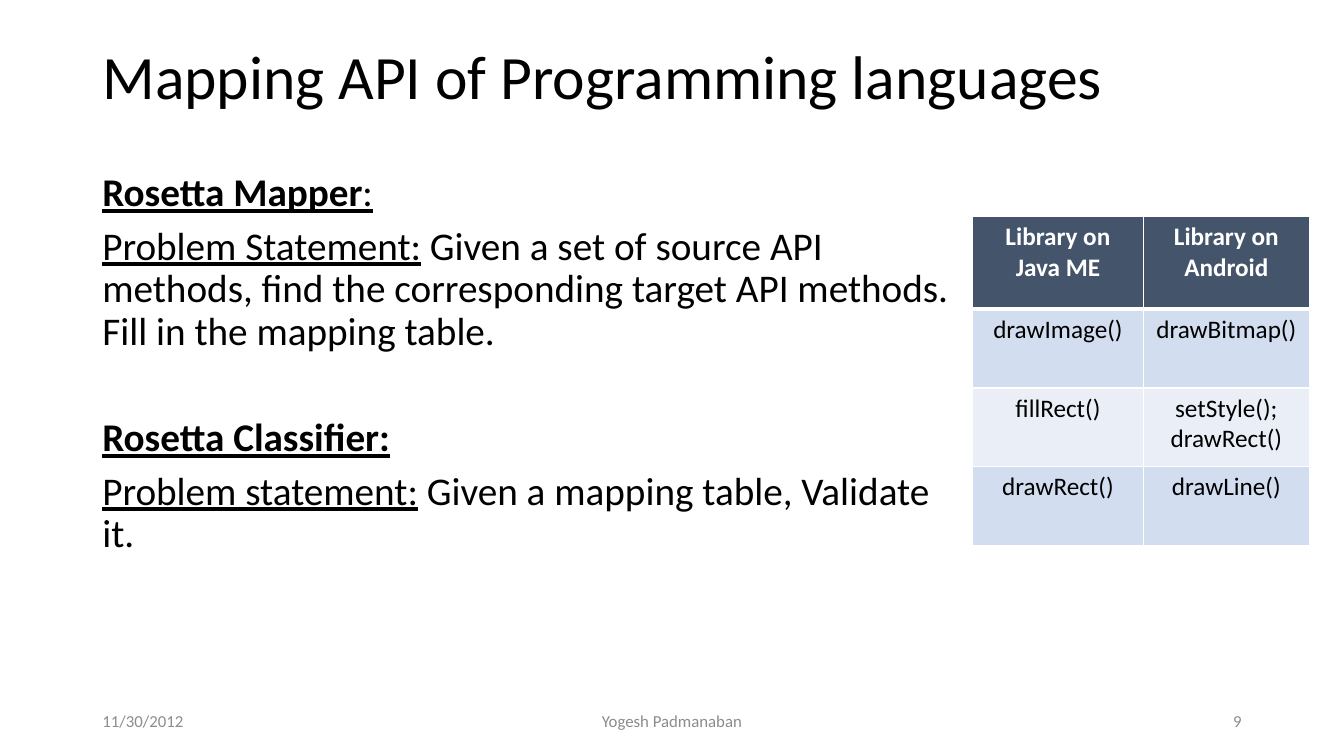
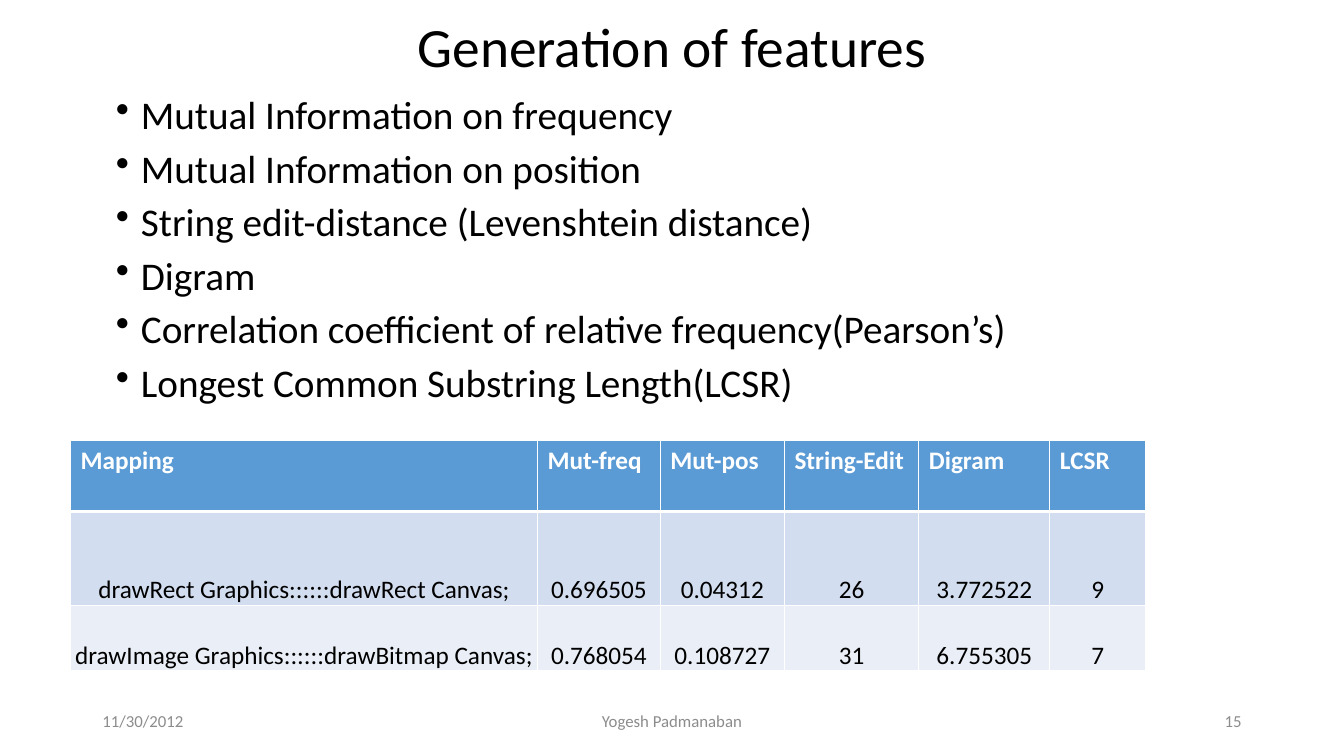
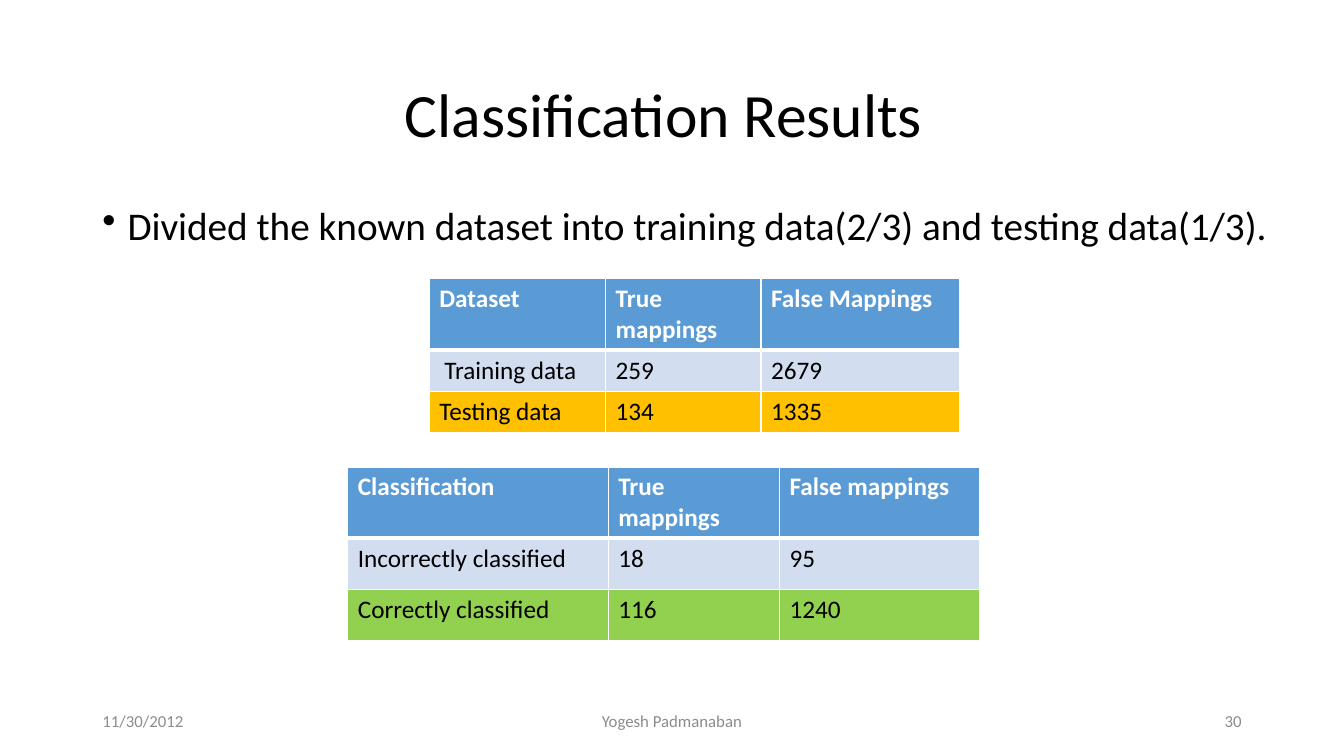
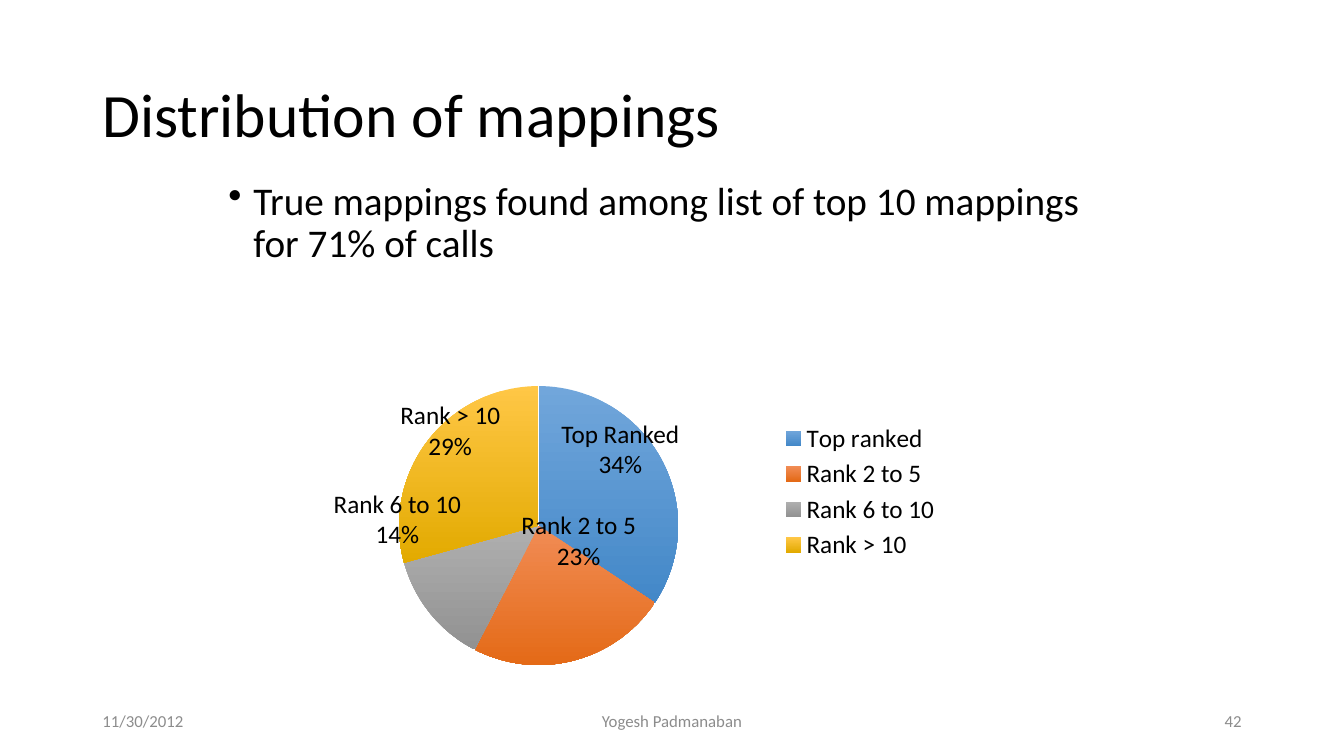
import pptx
import pptx.chart.data
import pptx.dml.color
import pptx.enum.chart
import pptx.enum.text
import pptx.oxml
import pptx.oxml.ns
import pptx.util

RGBColor = pptx.dml.color.RGBColor
Pt = pptx.util.Pt
ALIGN = pptx.enum.text.PP_ALIGN
ANCHOR = pptx.enum.text.MSO_ANCHOR

BLACK = RGBColor(0x00, 0x00, 0x00)
WHITE = RGBColor(0xFF, 0xFF, 0xFF)
GRAY = RGBColor(0x8C, 0x8C, 0x8C)
NAVY = RGBColor(0x44, 0x54, 0x6A)
BLUE = RGBColor(0x5B, 0x9B, 0xD5)
BAND_DARK = RGBColor(0xD2, 0xDE, 0xEF)
BAND_LIGHT = RGBColor(0xEA, 0xEF, 0xF7)
AMBER = RGBColor(0xFF, 0xC0, 0x00)
GREEN = RGBColor(0x92, 0xD0, 0x50)
PIE_GRADIENTS = [
    (RGBColor(0x71, 0xA6, 0xDB), RGBColor(0x43, 0x88, 0xC8)),
    (RGBColor(0xF1, 0x8C, 0x55), RGBColor(0xE4, 0x6A, 0x17)),
    (RGBColor(0xAF, 0xAF, 0xAF), RGBColor(0x92, 0x92, 0x92)),
    (RGBColor(0xFF, 0xC7, 0x46), RGBColor(0xE2, 0xAA, 0x00)),
]
FONT = "Calibri"
NS = pptx.oxml.ns.nsdecls("a")

prs = pptx.Presentation()
prs.slide_width = pptx.util.Inches(13.33)
prs.slide_height = pptx.util.Inches(7.5)
UNIT = prs.slide_width / 160  # square grid: 160 columns by 90 rows


def add_text(s, box, paras, size, color=BLACK, align=ALIGN.LEFT,
             anchor=ANCHOR.TOP, body=False, bullet=False, wrap=True):
    """Box in grid units; each paragraph is a list of (text, bold, underline)."""
    sp = s.shapes.add_textbox(*(int(v * UNIT) for v in box))
    tf = sp.text_frame
    tf.word_wrap = wrap
    tf.vertical_anchor = anchor
    for i, runs in enumerate(paras):
        p = tf.paragraphs[0] if i == 0 else tf.add_paragraph()
        p.alignment = align
        if body:
            p.line_spacing = 0.9
            p.space_before = Pt(8 if i else 0)
        if bullet:
            pPr = p._p.get_or_add_pPr()
            pPr.set("marL", str(int(3 * UNIT)))
            pPr.set("indent", str(int(-3 * UNIT)))
            pPr.append(pptx.oxml.parse_xml(f'<a:buChar {NS} char="•"/>'))
        for text, bold, underline in runs:
            r = p.add_run()
            r.text = text
            r.font.name = FONT
            r.font.size = Pt(size)
            r.font.color.rgb = color
            r.font.bold = bold
            r.font.underline = underline
    return tf


def add_table(s, left, top, cols, rows, texts, fills, centered=False):
    """Position, columns and rows in grid units; one fill per row."""
    shape = s.shapes.add_table(len(rows), len(cols), int(left * UNIT), int(top * UNIT),
                               int(sum(cols) * UNIT), int(sum(rows) * UNIT))
    tbl = shape.table
    for col, width in zip(tbl.columns, cols):
        col.width = int(width * UNIT)
    for i, height in enumerate(rows):
        tbl.rows[i].height = int(height * UNIT)
        for j, text in enumerate(texts[i]):
            cell = tbl.cell(i, j)
            cell.text_frame.text = text
            p = cell.text_frame.paragraphs[0]
            p.alignment = ALIGN.CENTER if centered else ALIGN.LEFT
            font = p.runs[0].font
            font.name = FONT
            font.size = Pt(18)
            font.bold = i == 0
            font.color.rgb = BLACK if i else WHITE
            cell.fill.solid()
            cell.fill.fore_color.rgb = fills[i]
            widths = {"lnL": 1, "lnR": 1, "lnT": 3 if i == 1 else 1, "lnB": 1 if i else 3}
            for k, (side, width) in enumerate(widths.items()):
                cell._tc.get_or_add_tcPr().insert(k, pptx.oxml.parse_xml(
                    f'<a:{side} {NS} w="{Pt(width)}"><a:solidFill>'
                    f'<a:srgbClr val="{WHITE}"/></a:solidFill></a:{side}>'))
    return tbl


# Titles and footers
pages = [
    ("Mapping API of Programming languages", (11, 0.24, 138, 17.4), 44, ALIGN.LEFT, 0, "9"),
    ("Generation of features", (11, 1.4, 138, 8), 39.6, ALIGN.CENTER, 0, "15"),
    ("Classification Results", (11, 4.8, 138, 17.4), 44, ALIGN.LEFT, 36, "30"),
    ("Distribution of mappings", (11, 4.8, 138, 17.4), 44, ALIGN.LEFT, 0, "42"),
]
slides = []
for title, box, size, align, indent, number in pages:
    s = prs.slides.add_slide(prs.slide_layouts[6])
    tf = add_text(s, box, [[(title, False, False)]], size, align=align, anchor=ANCHOR.MIDDLE)
    tf.margin_left += int(indent * UNIT)
    for text, left, width, side in [("11/30/2012", 11, 43, ALIGN.LEFT),
                                    ("Yogesh Padmanaban", 61, 38, ALIGN.CENTER),
                                    (number, 106, 43, ALIGN.RIGHT)]:
        add_text(s, (left, 83.4, width, 4.8), [[(text, False, False)]], 12, GRAY, side,
                 ANCHOR.MIDDLE)
    slides.append(s)
mapping_slide, features_slide, results_slide, ranks_slide = slides

# Mapping API
tf = add_text(mapping_slide, (11, 20, 103.4, 59.5), [
    [("Rosetta Mapper", True, True), (":", False, True)],
    [("Problem Statement:", False, True),
     (" Given a set of source API methods, find the corresponding target API methods. "
      "Fill in the mapping table.", False, False)],
    [("Rosetta Classifier:", True, True)],
    [("Problem statement:", False, True),
     (" Given a mapping table, Validate it.", False, False)],
], 28, body=True)
tf.paragraphs[2].space_before = Pt(46)
add_table(mapping_slide, 115.8, 25.8, [20.3, 19.8], [11, 9.4, 9.4, 9.4], [
    ["Library on Java ME", "Library on Android"],
    ["drawImage()", "drawBitmap()"],
    ["fillRect()", "setStyle(); drawRect()"],
    ["drawRect()", "drawLine()"],
], [NAVY, BAND_DARK, BAND_LIGHT, BAND_DARK], centered=True)

# Features
features = ["Mutual Information on frequency", "Mutual Information on position",
            "String edit-distance (Levenshtein distance)", "Digram",
            "Correlation coefficient of relative frequency(Pearson’s)",
            "Longest Common Substring Length(LCSR)"]
add_text(features_slide, (12.6, 10.8, 138, 62), [[(f, False, False)] for f in features],
         28, body=True, bullet=True)
tbl = add_table(features_slide, 8.4, 52.4, [55.6, 14.6, 14.8, 16, 15.6, 11.4], [8.5, 11.2, 7.8], [
    ["Mapping", "Mut-freq", "Mut-pos", "String-Edit", "Digram", "LCSR"],
    ["drawRect Graphics::::::drawRect Canvas;", "0.696505", "0.04312", "26", "3.772522", "9"],
    ["drawImage Graphics::::::drawBitmap Canvas;", "0.768054", "0.108727", "31", "6.755305", "7"],
], [BLUE, BAND_DARK, BAND_LIGHT])
for cell in list(tbl.iter_cells())[len(tbl.columns):]:
    cell.vertical_anchor = ANCHOR.BOTTOM
    cell.margin_left = cell.margin_right = cell.margin_top = int(0.1 * UNIT)
    cell.margin_bottom = 0
    cell.text_frame.paragraphs[0].alignment = ALIGN.CENTER

# Classification results
add_text(results_slide, (11, 24, 142.6, 57),
         [[("Divided the known dataset into training data(2/3) and testing data(1/3).",
            False, False)]], 28, body=True, bullet=True)
tbl = add_table(results_slide, 51.1, 33.2, [21, 18.5, 23.6], [8.5, 4.9, 4.9], [
    ["Dataset", "True mappings", "False Mappings"],
    ["Training data", "259", "2679"],
    ["Testing data", "134", "1335"],
], [BLUE, BAND_DARK, AMBER])
tbl.cell(1, 0).margin_left += int(0.6 * UNIT)
add_table(results_slide, 41.4, 55.6, [31, 20.4, 23.8], [8.5, 6.1, 6.1], [
    ["Classification", "True mappings", "False mappings"],
    ["Incorrectly classified", "18", "95"],
    ["Correctly classified", "116", "1240"],
], [BLUE, BAND_DARK, GREEN])

# Distribution of mappings
add_text(ranks_slide, (26, 21, 108, 17.6),
         [[("True mappings found among list of top 10 mappings for 71% of calls",
            False, False)]], 28, body=True, bullet=True)
data = pptx.chart.data.CategoryChartData()
data.categories = ["Top ranked", "Rank 2 to 5", "Rank 6 to 10", "Rank > 10"]
data.add_series("Mappings", [34, 23, 13, 29])
chart = ranks_slide.shapes.add_chart(
    pptx.enum.chart.XL_CHART_TYPE.PIE,
    *(int(v * UNIT) for v in (35.9, 36.1, 77.3, 44.9)), data).chart
chart.has_title = False
chart.font.name = FONT
chart.font.size = Pt(18)
chart.font.color.rgb = BLACK
chart.has_legend = True
chart.legend.position = pptx.enum.chart.XL_LEGEND_POSITION.RIGHT
chart.legend.include_in_layout = False
plot = chart.plots[0]
plot.vary_by_categories = True
for i, shades in enumerate(PIE_GRADIENTS):
    fill = plot.series[0].points[i].format.fill
    fill.gradient()
    fill.gradient_angle = 270
    for stop, shade in zip(fill.gradient_stops, shades):
        stop.color.rgb = shade

area = plot._element.getparent()
for layout in area.findall(pptx.oxml.ns.qn("c:layout")):
    area.remove(layout)
shares = "".join(f'<c:{name} val="{value}"/>' for name, value in [
    ("layoutTarget", "inner"), ("xMode", "edge"), ("yMode", "edge"),
    ("x", 0.15), ("y", 0.22), ("w", 0.43), ("h", 0.74)])
area.insert(0, pptx.oxml.parse_xml(
    f'<c:layout {pptx.oxml.ns.nsdecls("c")}><c:manualLayout>{shares}'
    '</c:manualLayout></c:layout>'))

for name, share, left, top, width in [("Top Ranked", "34%", 65.2, 49.2, 17.3),
                                      ("Rank 2 to 5", "23%", 60.8, 60.1, 16.2),
                                      ("Rank 6 to 10", "14%", 38.4, 57.5, 17.8),
                                      ("Rank > 10", "29%", 46.4, 47, 14.4)]:
    add_text(ranks_slide, (left, top, width, 8.5),
             [[(name, False, False)], [(share, False, False)]], 18,
             align=ALIGN.CENTER, wrap=False)

prs.save("out.pptx")
